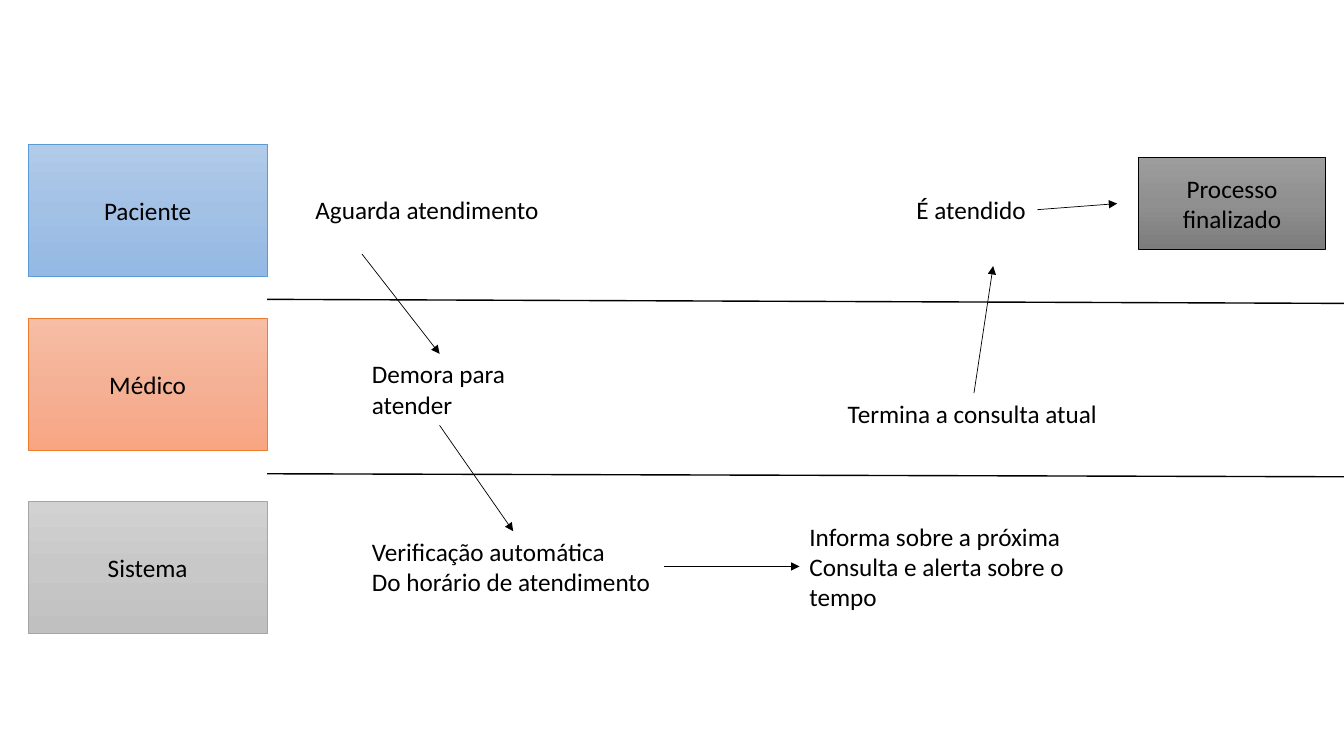
from copy import deepcopy
from pptx import Presentation
from pptx.dml.color import RGBColor
from pptx.enum import shapes, text
from pptx.oxml.ns import qn
from pptx.util import Inches, Pt
from lxml import etree

COLORS = {
    "ink": "000000",
    "patient": ("B1CBE9", "A3C1E5", "93B9E4"), "patient_line": "5B9BD5",
    "doctor": ("F7BDA5", "F5B196", "F8A582"), "doctor_line": "ED7D31",
    "system": ("D2D2D2", "C8C8C8", "C0C0C0"), "system_line": "A5A5A5",
    "end": ("9D9D9D", "909090", "7C7C7C"), "end_line": "000000",
}
FONT = {"name": "Calibri", "size": Pt(18)}
SLIDE_W, SLIDE_H = 13.33, 7.5
LANE_X, LANE_H, LABEL_W = 0.28, 1.31, 2.37


def rgb(value):
    return RGBColor.from_string(value)


def write(tf, lines, align):
    for i, line in enumerate(lines):
        p = tf.paragraphs[0] if i == 0 else tf.add_paragraph()
        p.alignment = align
        r = p.add_run()
        r.text = line
        for key, value in FONT.items():
            setattr(r.font, key, value)
        r.font.color.rgb = rgb(COLORS["ink"])


def add_box(s, box, lines, theme):
    """Rectangle with a vertical gradient and centred text."""
    sp = s.shapes.add_shape(shapes.MSO_SHAPE.RECTANGLE, *map(Inches, box))
    sp.shadow.inherit = False
    sp.fill.gradient()
    sp.fill.gradient_angle = 270
    stops = next(sp._element.spPr.iter(qn("a:gsLst")))
    stops.insert(1, deepcopy(stops[0]))
    for stop, position, color in zip(sp.fill.gradient_stops, (0, 0.5, 1), COLORS[theme]):
        stop.position = position
        stop.color.rgb = rgb(color)
    sp.line.color.rgb = rgb(COLORS[theme + "_line"])
    sp.line.width = Pt(0.5)
    sp.text_frame.vertical_anchor = text.MSO_ANCHOR.MIDDLE
    write(sp.text_frame, lines, text.PP_ALIGN.CENTER)


def add_step(s, box, lines):
    tf = s.shapes.add_textbox(*map(Inches, box)).text_frame
    tf.word_wrap = False
    tf.auto_size = text.MSO_AUTO_SIZE.SHAPE_TO_FIT_TEXT
    write(tf, lines, text.PP_ALIGN.LEFT)


def add_line(s, start, end, width, arrow=False):
    c = s.shapes.add_connector(shapes.MSO_CONNECTOR.STRAIGHT, *map(Inches, start + end))
    c.line.color.rgb = rgb(COLORS["ink"])
    c.line.width = Pt(width)
    if arrow:
        etree.SubElement(c.line._get_or_add_ln(), qn("a:tailEnd"), type="triangle")
    etree.SubElement(c._element.spPr, qn("a:effectLst"))


def add_lane(s, box, label, theme, steps, divider=None):
    """Lane label, its steps, and the divider below; offsets are from the box."""
    x, y, w, h = box
    add_box(s, (x, y, LABEL_W, h), [label], theme)
    for dx, dy, step_w, lines in steps:
        add_step(s, (x + dx, y + dy, step_w, 0.1 + 0.3 * len(lines)), lines)
    if divider:
        drop, slope = divider
        start = (x + LABEL_W, y + h + drop)
        add_line(s, start, (x + w, start[1] + slope), 1)


prs = Presentation()
prs.slide_width, prs.slide_height = Inches(SLIDE_W), Inches(SLIDE_H)
s = prs.slides.add_slide(prs.slide_layouts[6])

# Lanes: top, label, theme, steps (dx, dy, width, lines), divider (drop, slope)
LANES = [
    (1.43, "Paciente", "patient", [
        (2.75, 0.45, 2.44, ["Aguarda atendimento"]),
        (8.71, 0.45, 1.3, ["É atendido"])], (0.23, 0.04)),
    (3.16, "Médico", "doctor", [
        (3.31, 0.35, 1.54, ["Demora para", "atender"]),
        (8.03, 0.74, 2.7, ["Termina a consulta atual"])], (0.23, 0.03)),
    (4.97, "Sistema", "system", [
        (3.31, 0.3, 3, ["Verificação automática", "Do horário de atendimento"]),
        (7.65, 0.15, 2.76,
         ["Informa sobre a próxima", "Consulta e alerta sobre o", "tempo"])], None),
]
for top, *lane in LANES:
    add_lane(s, (LANE_X, top, SLIDE_W - LANE_X, LANE_H), *lane)

# End of the process
add_box(s, (11.29, 1.56, 1.86, 0.91), ["Processo", "finalizado"], "end")

# Flow arrows
FLOW = [
    ((3.59, 2.52), (4.36, 3.51)),
    ((4.36, 4.22), (5.09, 5.27)),
    ((6.59, 5.62), (7.93, 5.62)),
    ((9.66, 3.9), (9.85, 2.64)),
    ((10.29, 2.08), (11.08, 2.02)),
]
for start, end in FLOW:
    add_line(s, start, end, 0.5, arrow=True)

prs.save("out.pptx")
